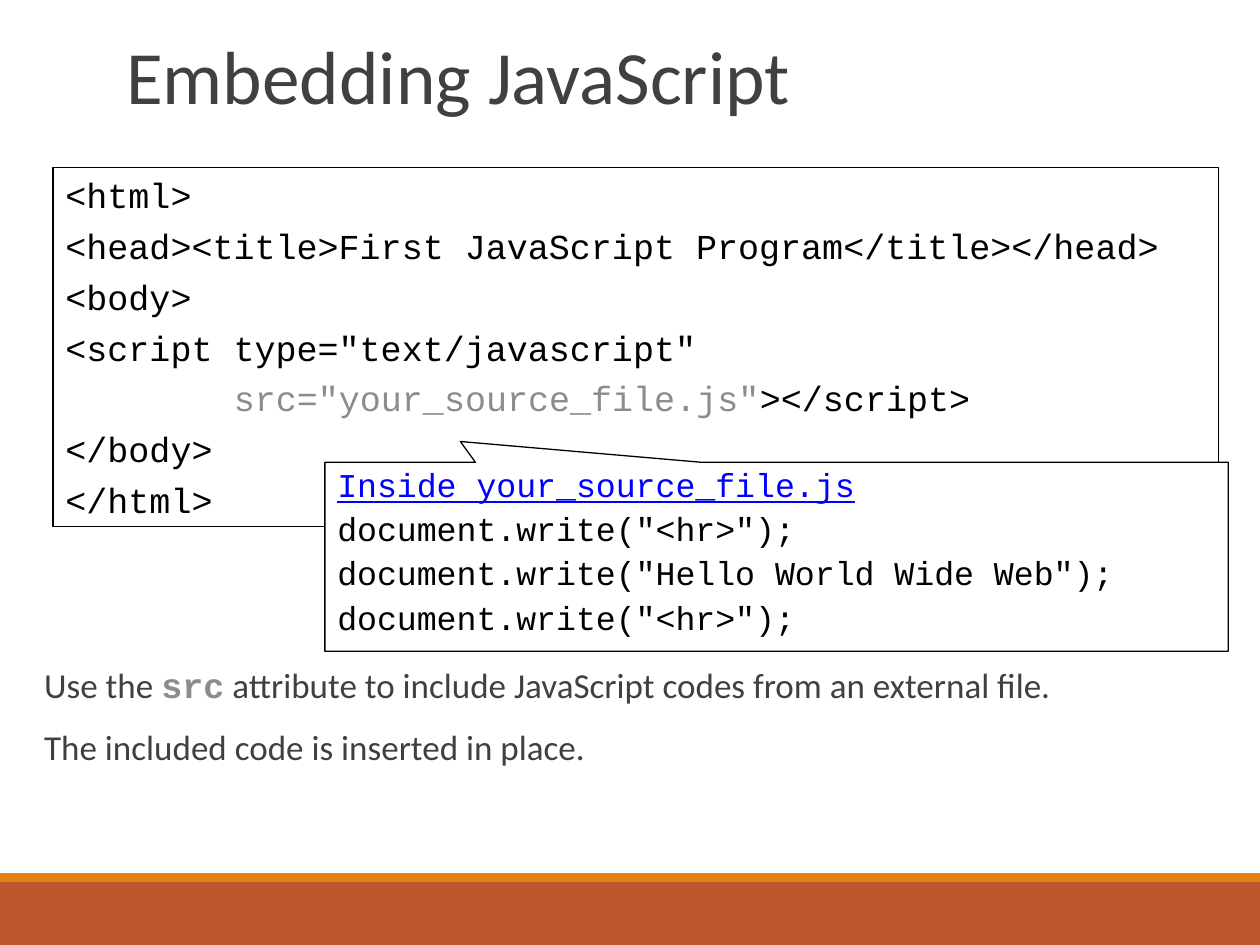
from dataclasses import dataclass

from lxml import etree
from pptx import Presentation
from pptx.dml.color import RGBColor
from pptx.enum.shapes import MSO_SHAPE
from pptx.enum.text import MSO_ANCHOR, MSO_AUTO_SIZE, PP_ALIGN
from pptx.oxml.ns import qn
from pptx.util import Cm, Pt

RECT = MSO_SHAPE.RECTANGLE
CALLOUT = MSO_SHAPE.RECTANGULAR_CALLOUT
TOP, BOTTOM = MSO_ANCHOR.TOP, MSO_ANCHOR.BOTTOM
LEFT = PP_ALIGN.LEFT
FIXED = MSO_AUTO_SIZE.NONE


@dataclass(frozen=True)
class Theme:
    sans: str = "Calibri"
    mono: str = "Courier New"
    dark: str = "404040"
    black: str = "000000"
    white: str = "FFFFFF"
    gray: str = "8C8C8C"
    blue: str = "0000FF"
    rust: str = "BD582C"
    amber: str = "E48312"
    head: float = 43
    text: float = 20
    note: float = 19


class Deck:
    """Holds the theme and the slide being filled."""

    def __init__(self, theme):
        self.theme = theme
        self.show = Presentation()
        self.show.slide_width = Cm(25.4)
        self.show.slide_height = Cm(19.05)
        self.slide = self.show.slides.add_slide(self.show.slide_layouts[1])

    def place(self, shape, box):
        shape.left, shape.top, shape.width, shape.height = map(Cm, box)

    def shape(self, kind, box, fill, line=None):
        shape = self.slide.shapes.add_shape(kind, *map(Cm, box))
        shape.shadow.inherit = False
        shape.fill.solid()
        shape.fill.fore_color.rgb = RGBColor.from_string(fill)
        if line:
            shape.line.color.rgb = RGBColor.from_string(line)
            shape.line.width = Pt(0.75)
        else:
            shape.line.fill.background()
        return shape

    def lines(self, frame, rows, size, gap, pitch=1.0):
        """Write rows, each a list of (text, font, color) runs."""
        for i, row in enumerate(rows):
            para = frame.paragraphs[0] if i == 0 else frame.add_paragraph()
            para.alignment = LEFT
            para.line_spacing = pitch
            para.space_before = Pt(gap if i else 0)
            for text, face, color in row:
                run = para.add_run()
                run.text = text
                run.font.name = face
                run.font.size = Pt(size)
                run.font.color.rgb = RGBColor.from_string(color)

    def title(self, text, box):
        t = self.theme
        shape = self.slide.shapes.title
        self.place(shape, box)
        frame = shape.text_frame
        frame.auto_size = FIXED
        frame.vertical_anchor = BOTTOM
        self.lines(frame, [[(text, t.sans, t.dark)]], t.head, 0, 0.85)

    def body(self, rows, box):
        shape = self.slide.placeholders[1]
        self.place(shape, box)
        frame = shape.text_frame
        frame.auto_size = FIXED
        frame.margin_left = frame.margin_right = 0
        self.lines(frame, rows, self.theme.text, 12, 0.9)
        for para in frame.paragraphs:
            para.space_after = Pt(2)
            props = para._p.get_or_add_pPr()
            props.set("marL", str(Cm(0.25)))
            props.set("indent", "0")
            etree.SubElement(props, qn("a:buNone"))
        return frame

    def code(self, kind, box, rows, size, gap, pitch=1.0):
        t = self.theme
        shape = self.shape(kind, box, t.white, t.black)
        frame = shape.text_frame
        frame.word_wrap = True
        frame.vertical_anchor = TOP
        rows = [[(text, t.mono, color) for text, color in row] for row in rows]
        self.lines(frame, rows, size, gap, pitch)
        return shape


def main():
    t = Theme()
    deck = Deck(t)
    deck.shape(RECT, (0, 17.78, 25.4, 1.27), t.rust)
    deck.shape(RECT, (0, 17.6, 25.4, 0.18), t.amber)
    deck.title("Embedding JavaScript", (2.29, 0.79, 20.96, 1.75))

    notes = deck.body([
        [("Use the ", t.sans, t.dark),
         ("src", t.mono, t.gray),
         (" attribute to include JavaScript codes from an external file.",
          t.sans, t.dark)],
        [("The included code is inserted in place.", t.sans, t.dark)],
    ], (0.64, 13.34, 23.5, 4.24))
    notes.paragraphs[0].runs[1].font.bold = True

    deck.code(RECT, (1.07, 3.38, 23.5, 7.24), [
        [("<html>", t.black)],
        [("<head><title>First JavaScript Program</title></head>", t.black)],
        [("<body>", t.black)],
        [('<script type="text/javascript"', t.black)],
        [("        ", t.black), ('src="your_source_file.js"', t.gray),
         ("></script>", t.black)],
        [("</body>", t.black)],
        [("</html>", t.black)],
    ], t.text, 5)

    rule = [('document.write("<hr>");', t.black)]
    call = deck.code(CALLOUT, (6.55, 9.32, 18.21, 3.81), [
        [("Inside your_source_file.js", t.blue)],
        rule,
        [('document.write("Hello World Wide Web");', t.black)],
        rule,
    ], t.note, 4.8, 0.9)
    call.adjustments[0], call.adjustments[1] = -0.35, -0.61
    call.text_frame.paragraphs[0].runs[0].font.underline = True

    deck.show.save("out.pptx")


if __name__ == "__main__":
    main()
